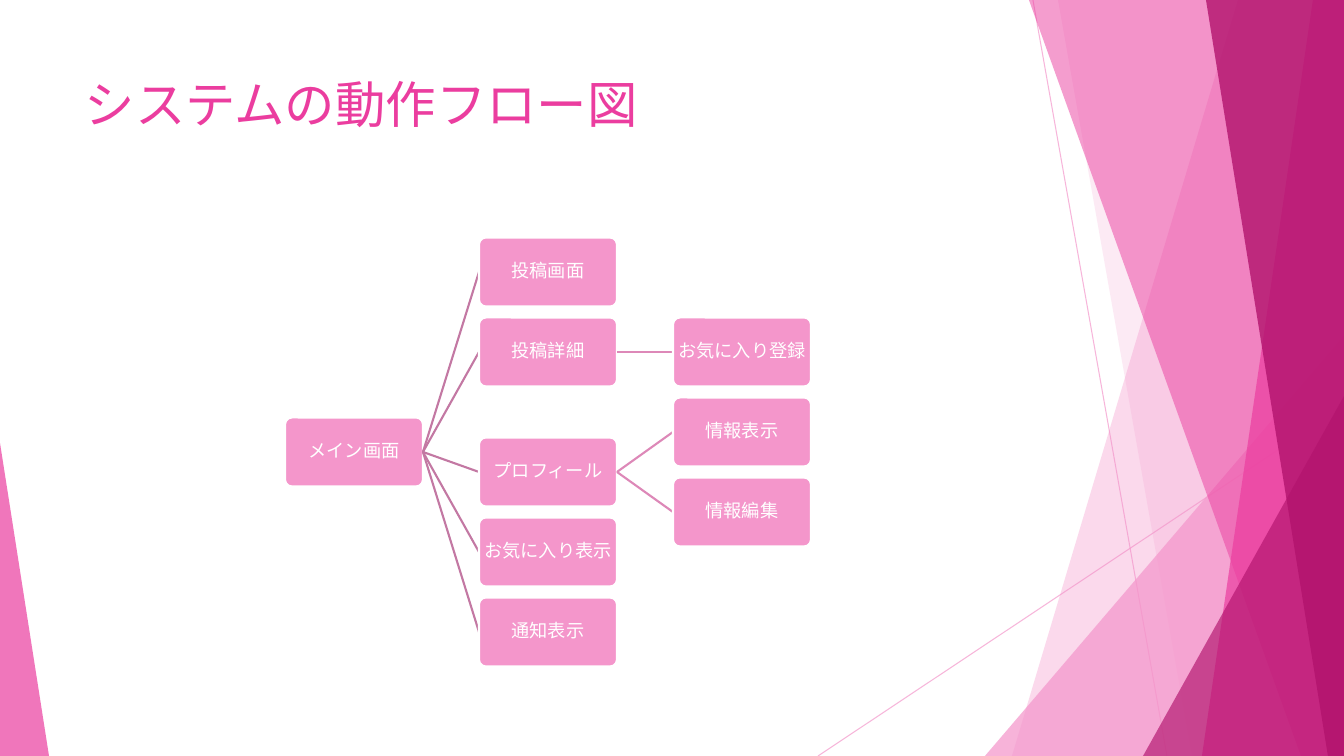
from lxml import etree
from pptx import Presentation
from pptx import util as u
from pptx.dml.color import RGBColor
from pptx.enum import shapes, text
from pptx.oxml import ns

PX = 914400 / 100.8
SLIDE_W, SLIDE_H = 1344, 756
FONT = "Lato"

WHITE = RGBColor(0xFF, 0xFF, 0xFF)
LIGHT_PINK = RGBColor(0xF4, 0x96, 0xCB)
HOT_PINK = RGBColor(0xEB, 0x3D, 0x9F)
MAGENTA = RGBColor(0xB2, 0x13, 0x6D)
FIRST_BRANCH = RGBColor(0xC3, 0x78, 0xA3)
SECOND_BRANCH = RGBColor(0xDD, 0x88, 0xB8)
BRANCHES = [FIRST_BRANCH, SECOND_BRANCH]

BOX_W, BOX_H = 138, 69
COLUMN_STEP, ROW_STEP = 194, 80
FIRST_LEFT, FIRST_MIDDLE = 285, 272

# Each screen: label, row (in row steps), screens reached from it
FLOW = ("メイン画面", 2.25, [
    ("投稿画面", 0, []),
    ("投稿詳細", 1, [("お気に入り登録", 1, [])]),
    ("プロフィール", 2.5, [("情報表示", 2, []), ("情報編集", 3, [])]),
    ("お気に入り表示", 3.5, []),
    ("通知表示", 4.5, []),
])


def px(length):
    return u.Emu(round(length * PX))


def set_opacity(shape, percent):
    for color in shape._element.spPr.iter(ns.qn("a:srgbClr")):
        etree.SubElement(color, ns.qn("a:alpha"), val=str(percent * 1000))


def add_line(slide, start, end, color, points, opacity=100):
    line = slide.shapes.add_connector(
        shapes.MSO_CONNECTOR.STRAIGHT, *map(px, (*start, *end)))
    line.line.color.rgb = color
    line.line.width = u.Pt(points)
    etree.SubElement(line._element.spPr, ns.qn("a:effectLst"))
    if opacity < 100:
        set_opacity(line, opacity)


def paint_facet(facet, color, opacity):
    facet.shadow.inherit = False
    facet.fill.solid()
    facet.fill.fore_color.rgb = color
    facet.line.fill.background()
    set_opacity(facet, opacity)


def add_band(slide, top_left, top_right, bottom_right, bottom_left, color, opacity):
    """Draw a full-height band from its x positions at the top and bottom edges."""
    builder = slide.shapes.build_freeform(top_left, 0, scale=PX)
    builder.add_line_segments(
        [(top_right, 0), (bottom_right, SLIDE_H), (bottom_left, SLIDE_H)])
    paint_facet(builder.convert_to_shape(), color, opacity)


def add_triangle(slide, left, top, width, apex, color, opacity):
    """Draw a triangle standing on the bottom edge; apex is 0 (left) to 1 (right)."""
    triangle = slide.shapes.add_shape(
        shapes.MSO_SHAPE.ISOSCELES_TRIANGLE,
        *map(px, (left, top, width, SLIDE_H - top)))
    triangle.adjustments[0] = apex
    paint_facet(triangle, color, opacity)


def add_run(paragraph, wording, points, color):
    run = paragraph.add_run()
    run.text = wording
    run.font.name = FONT
    run.font.size = u.Pt(points)
    run.font.color.rgb = color


def add_title(slide, wording):
    title = slide.shapes.add_textbox(*map(px, (75, 68, 948, 145)))
    frame = title.text_frame
    frame.word_wrap = True
    add_run(frame.paragraphs[0], wording, 36, HOT_PINK)


def add_screen(slide, label, left, middle):
    screen = slide.shapes.add_shape(
        shapes.MSO_SHAPE.ROUNDED_RECTANGLE,
        *map(px, (left, middle - BOX_H / 2, BOX_W, BOX_H)))
    screen.adjustments[0] = 0.1
    screen.shadow.inherit = False
    screen.fill.solid()
    screen.fill.fore_color.rgb = LIGHT_PINK
    screen.line.color.rgb = WHITE
    screen.line.width = u.Pt(1.5)
    frame = screen.text_frame
    frame.word_wrap = True
    frame.vertical_anchor = text.MSO_ANCHOR.MIDDLE
    frame.margin_left = frame.margin_right = px(1)
    frame.margin_top = frame.margin_bottom = px(1)
    paragraph = frame.paragraphs[0]
    paragraph.alignment = text.PP_ALIGN.CENTER
    paragraph.line_spacing = 0.9
    add_run(paragraph, label, 13, WHITE)


def add_flow(slide, screen, column=0):
    """Draw a screen, then a branch to each screen reached from it."""
    label, row, next_screens = screen
    left = FIRST_LEFT + column * COLUMN_STEP
    middle = FIRST_MIDDLE + row * ROW_STEP
    add_screen(slide, label, left, middle)
    for next_screen in next_screens:
        next_middle = FIRST_MIDDLE + next_screen[1] * ROW_STEP
        add_line(slide, (left + BOX_W, middle), (left + COLUMN_STEP, next_middle),
                 BRANCHES[column], 1.5)
        add_flow(slide, next_screen, column + 1)


def add_backdrop(slide):
    add_line(slide, (1033, 0), (1167, SLIDE_H), LIGHT_PINK, 0.75, 70)
    add_line(slide, (SLIDE_W, 406), (818, SLIDE_H), LIGHT_PINK, 0.75, 70)
    add_band(slide, 1238, SLIDE_W, SLIDE_W, 1012, LIGHT_PINK, 36)
    add_band(slide, 1058, SLIDE_W, SLIDE_W, 1192, LIGHT_PINK, 20)
    add_triangle(slide, 985, 336, 359, 1, LIGHT_PINK, 72)
    add_band(slide, 1029, SLIDE_W, SLIDE_W, 1301, HOT_PINK, 50)
    add_band(slide, 1313, SLIDE_W, SLIDE_W, 1202, HOT_PINK, 70)
    add_band(slide, 1206, SLIDE_W, SLIDE_W, 1328, MAGENTA, 80)
    add_triangle(slide, 1143, 396, 201, 1, MAGENTA, 66)
    add_triangle(slide, 0, 443, 49, 0, HOT_PINK, 70)


def main():
    deck = Presentation()
    deck.slide_width, deck.slide_height = px(SLIDE_W), px(SLIDE_H)
    slide = deck.slides.add_slide(deck.slide_layouts[6])
    add_backdrop(slide)
    add_title(slide, "システムの動作フロー図")
    add_flow(slide, FLOW)
    deck.save("out.pptx")


if __name__ == "__main__":
    main()
